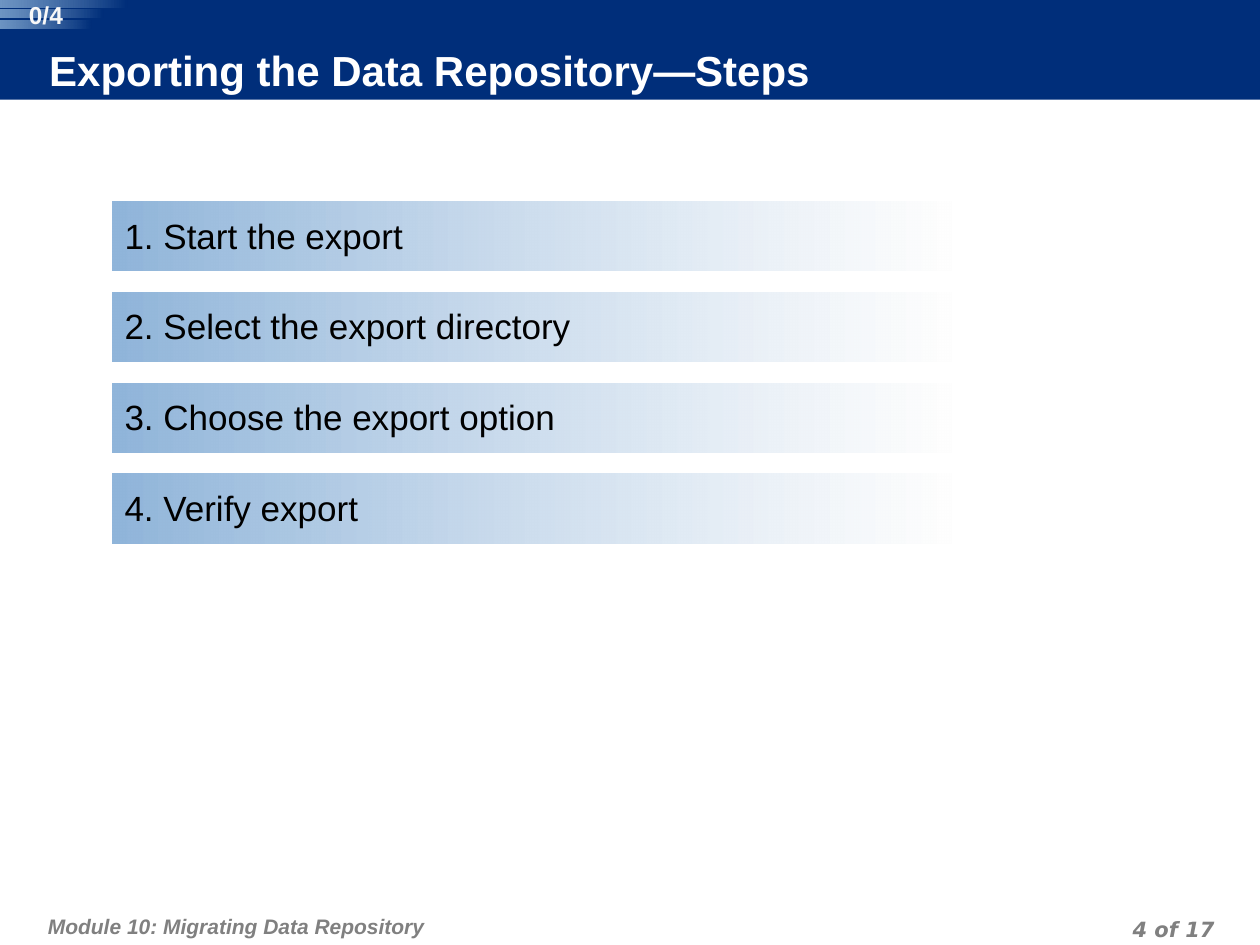
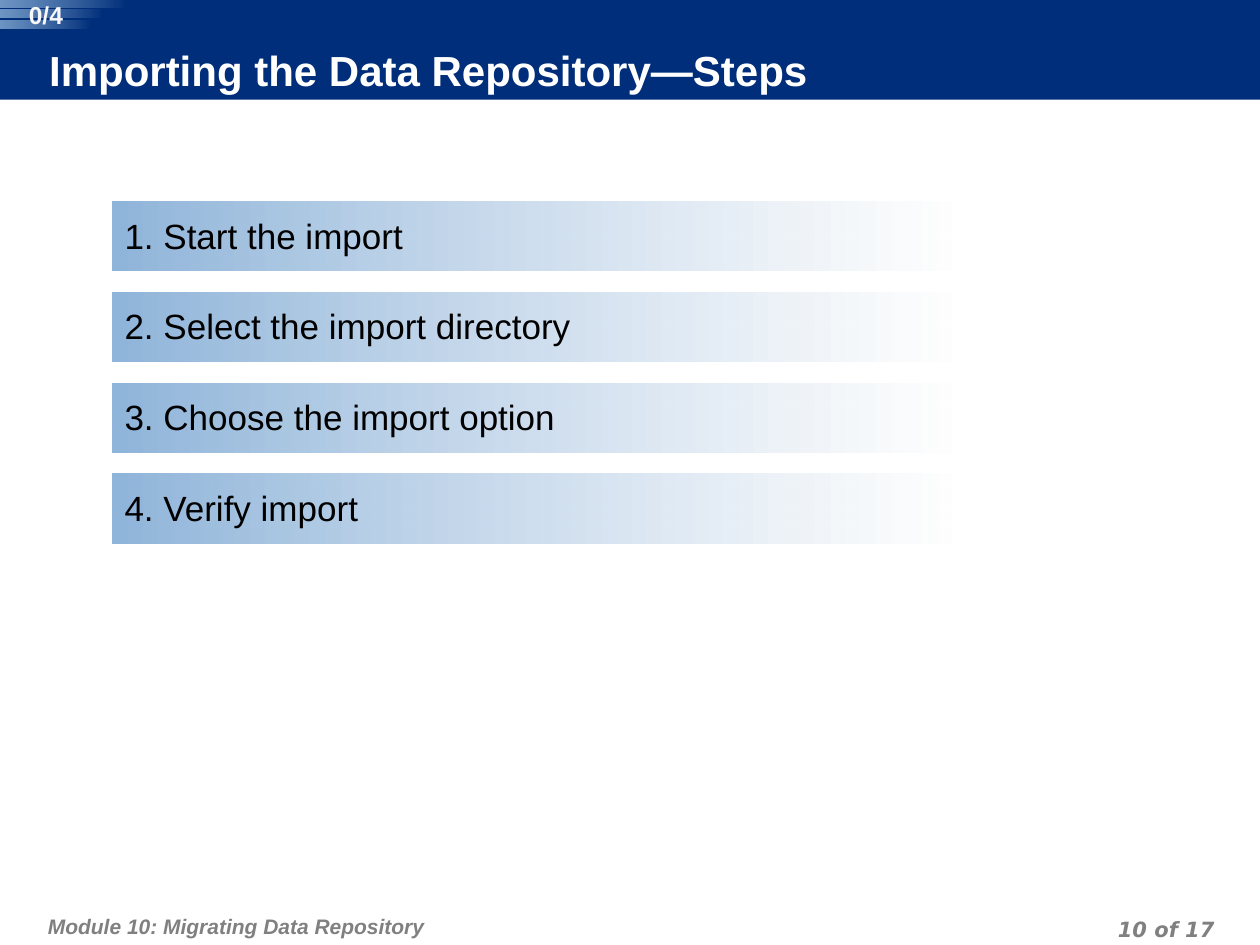
"""Build the export and import step slides of the repository module."""
import lxml.etree
import pptx
import pptx.dml.color
import pptx.enum.shapes
import pptx.enum.text
import pptx.oxml.ns
import pptx.util

rgb = pptx.dml.color.RGBColor.from_string
Pt = pptx.util.Pt
RECT = pptx.enum.shapes.MSO_SHAPE.RECTANGLE
ROUND = pptx.enum.shapes.MSO_SHAPE.ROUNDED_RECTANGLE
ALIGN = pptx.enum.text.PP_ALIGN
NAVY, SKY, PALE, GREY = "002E7A", "90B5DA", "FEFEFE", "808080"
REPOSITORY = "Data Repository"

prs = pptx.Presentation()
prs.slide_width, prs.slide_height = pptx.util.Inches(10), pptx.util.Inches(7.5)
COL, ROW = prs.slide_width / 100, prs.slide_height / 75


def grid(left, top, width, height):
    """Turn a box in columns and rows into slide lengths."""
    return [round(n * unit) for n, unit in zip((left, top, width, height), (COL, ROW, COL, ROW))]


def write(sp, text, margins, color, font, para, anchor=pptx.enum.text.MSO_ANCHOR.TOP):
    """Put one formatted paragraph into a shape."""
    tf = sp.text_frame
    tf.word_wrap, tf.vertical_anchor = True, anchor
    tf.auto_size = pptx.enum.text.MSO_AUTO_SIZE.NONE
    for side, inches in zip(("left", "top", "right", "bottom"), margins):
        setattr(tf, "margin_" + side, pptx.util.Inches(inches))
    p = tf.paragraphs[0]
    for name, value in para.items():
        setattr(p, name, value)
    r = p.add_run()
    r.text = text
    for name, value in font.items():
        setattr(r.font, name, value)
    r.font.color.rgb = rgb(color)


title_font = {"name": "Arial", "size": Pt(24), "bold": True}
step_font = {"name": "Arial", "size": Pt(20)}
count_font = {"name": "Arial", "size": Pt(14), "bold": True}
foot_font = {"name": "Arial", "size": Pt(12), "bold": True, "italic": True}
foot_para = {"alignment": ALIGN.LEFT, "line_spacing": Pt(18), "space_before": Pt(6)}
step_para = {"alignment": ALIGN.LEFT, "space_before": Pt(5)}

layout = prs.slide_layouts[5]
for ph in list(layout.placeholders):
    if ph.placeholder_format.idx >= 10:
        ph.element.getparent().remove(ph.element)

slides = [prs.slides.add_slide(layout) for _ in range(2)]

band = slides[0].shapes.add_shape(RECT, *grid(0, 0, 100, 7.9))
band.shadow.inherit = False
band.fill.solid()
band.fill.fore_color.rgb = rgb(NAVY)
band.line.fill.background()
module = slides[0].shapes.add_textbox(*grid(3.3, 71, 61.8, 4))
write(module, f"Module 10: Migrating {REPOSITORY}", (0.05, 0.1, 0.05, 0.05), GREY, foot_font, foot_para)
for sp in (band, module):
    layout.shapes.element.append(sp.element)

stripes = [(0, 0, 10.1, 0.6), (0, 0.8, 8.2, 0.6), (0, 1.6, 7.3, 0.7)]
steps = ["Start the {}", "Select the {} directory", "Choose the {} option", "Verify {}"]

for s, (action, page) in zip(slides, [("export", 4), ("import", 10)]):
    title = s.shapes.title
    title.left, title.top, title.width, title.height = grid(3.9, 3.8, 78.7, 4)
    title.fill.solid()
    title.fill.fore_color.rgb = rgb(NAVY)
    write(title, f"{action.capitalize()}ing the {REPOSITORY}—Steps", (0, 0, 0.05, 0.05), "FFFFFF",
          title_font, {"alignment": ALIGN.LEFT}, pptx.enum.text.MSO_ANCHOR.MIDDLE)

    number = s.shapes.add_textbox(*grid(73.6, 72.2, 23.3, 2.5))
    write(number, f"{page} of 17", (0.05, 0, 0.05, 0), GREY,
          {**foot_font, "name": "DejaVu Sans"}, {**foot_para, "alignment": ALIGN.RIGHT})

    counter = s.shapes.add_group_shape()
    bars = [(counter.shapes, box, (NAVY, 100), (SKY, 76), None) for box in stripes]
    bars += [(s.shapes, (8.9, 16 + 7.2 * i, 66.6, 5.5), (PALE, 75), (SKY, 100),
              f"{i + 1}. {step.format(action)}") for i, step in enumerate(steps)]
    for shapes, box, start, end, text in bars:
        sp = shapes.add_shape(ROUND, *grid(*box))
        sp.adjustments[0] = 0
        sp.shadow.inherit = False
        sp.line.fill.background()
        sp.fill.gradient()
        sp.fill.gradient_angle = 180
        for stop, position, (color, _) in zip(sp.fill.gradient_stops, (0, 1), (start, end)):
            stop.position = position
            stop.color.rgb = rgb(color)
        for clr, (_, opacity) in zip(sp.element.xpath(".//a:gs/a:srgbClr"), (start, end)):
            if opacity < 100:
                alpha = lxml.etree.SubElement(clr, pptx.oxml.ns.qn("a:alpha"))
                alpha.set("val", str(opacity * 1000))
        if text:
            write(sp, text, (0.1, 0.1, 0.1, 0.05), "000000", step_font, step_para)

    label = counter.shapes.add_textbox(*grid(1.1, 0, 5.1, 2.3))
    write(label, "0/4", (0, 0, 0, 0), "F8F8F8", count_font, {"alignment": ALIGN.CENTER})

prs.save("out.pptx")
